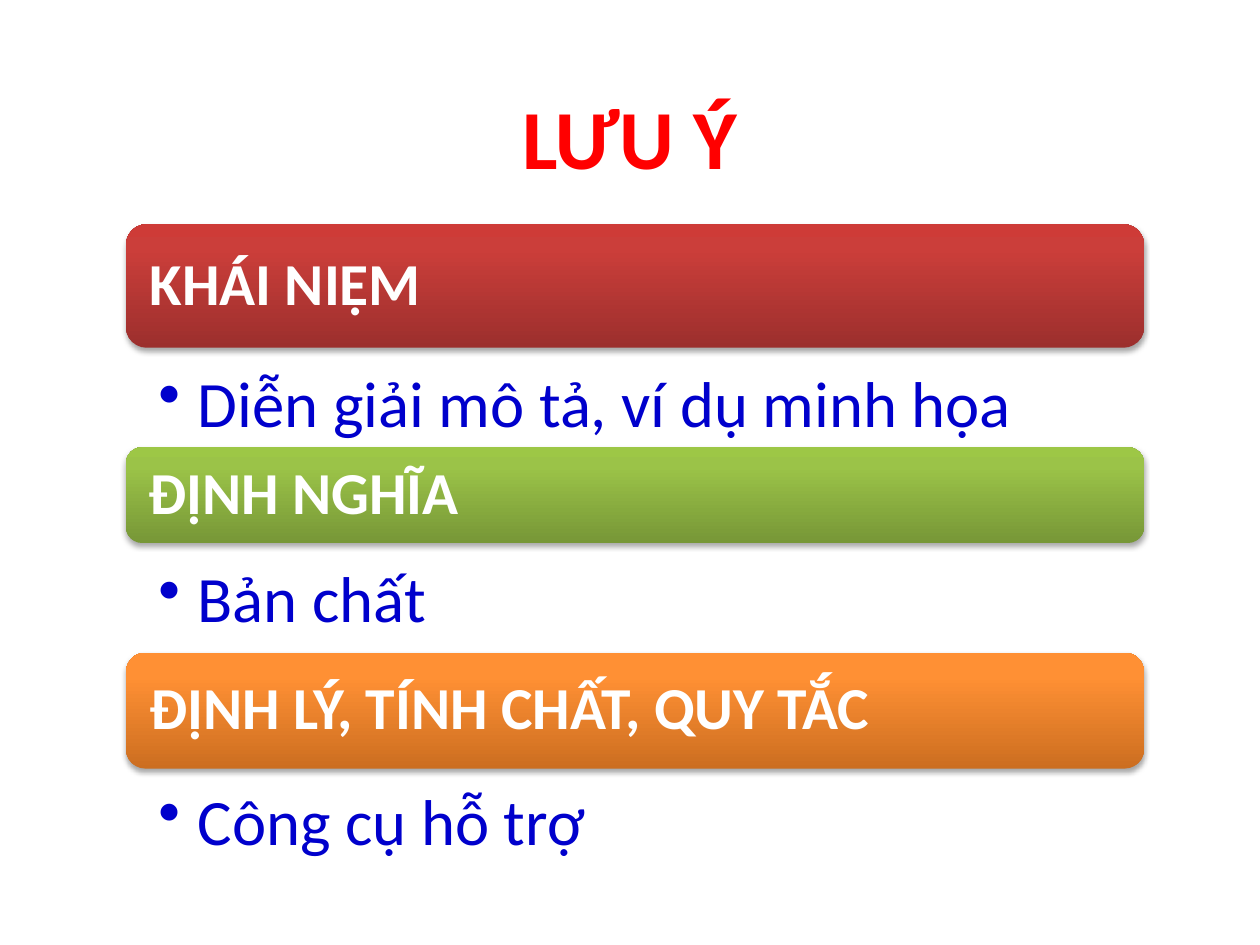
"""Build the slide of three headed notes."""
from lxml import etree
from pptx import Presentation
from pptx.dml.color import RGBColor
from pptx.enum.shapes import MSO_SHAPE
from pptx.enum.text import MSO_ANCHOR, PP_ALIGN
from pptx.oxml import parse_xml
from pptx.oxml.ns import qn
from pptx.util import Pt

ROUND = MSO_SHAPE.ROUNDED_RECTANGLE
MIDDLE, TOP = MSO_ANCHOR.MIDDLE, MSO_ANCHOR.TOP
LEFT, CENTER = PP_ALIGN.LEFT, PP_ALIGN.CENTER
RED = RGBColor(0xFF, 0x00, 0x00)
BLUE = RGBColor(0x00, 0x00, 0xCC)
WHITE = RGBColor(0xFF, 0xFF, 0xFF)
CRIMSON = (RGBColor(0x9C, 0x2F, 0x2D), RGBColor(0xCB, 0x3E, 0x3A), RGBColor(0xCE, 0x3B, 0x37))
GREEN = (RGBColor(0x77, 0x97, 0x37), RGBColor(0x9B, 0xC3, 0x48), RGBColor(0x9D, 0xC7, 0x46))
ORANGE = (RGBColor(0xCC, 0x6E, 0x20), RGBColor(0xFF, 0x90, 0x34), RGBColor(0xFF, 0x91, 0x36))
STOPS = (0, 80000, 100000)
SPACE = 'xmlns:a="http://schemas.openxmlformats.org/drawingml/2006/main"'
SHADOW = (
    f'<a:effectLst {SPACE}><a:outerShdw blurRad="{Pt(3.1)}" dist="{Pt(1.8)}" '
    'dir="5400000" rotWithShape="0"><a:srgbClr val="000000"><a:alpha val="35000"/>'
    '</a:srgbClr></a:outerShdw></a:effectLst>'
)
X, WIDTH, DEEP = 72, 581.76, 62.64
ROWS = [
    ("KHÁI NIỆM", 128.16, 70.56, CRIMSON, "Diễn giải mô tả, ví dụ minh họa", 207.36, 0.9),
    ("ĐỊNH NGHĨA", 255.6, 54.72, GREEN, "Bản chất", 318.96, 0.9),
    ("ĐỊNH LÝ, TÍNH CHẤT, QUY TẮC", 372.96, 66.24, ORANGE, "Công cụ hỗ trợ", 441.36, 1.0),
]


def write(shape, text, size, color, bold, align, anchor, pads, lead):
    frame = shape.text_frame
    frame.text = text
    frame.word_wrap = True
    frame.vertical_anchor = anchor
    frame.margin_left, frame.margin_top, frame.margin_right, frame.margin_bottom = map(Pt, pads)
    line = frame.paragraphs[0]
    line.alignment = align
    line.line_spacing = lead
    font = line.runs[0].font
    font.name, font.size, font.bold = "Calibri", Pt(size), bold
    font.color.rgb = color
    return line


def shade(shape, colors):
    shape.line.fill.background()
    stops = "".join(
        f'<a:gs pos="{pos}"><a:srgbClr val="{color}"/></a:gs>'
        for pos, color in zip(STOPS, colors)
    )
    fill = parse_xml(
        f'<a:gradFill {SPACE} rotWithShape="1"><a:gsLst>{stops}</a:gsLst>'
        '<a:lin ang="16200000" scaled="0"/></a:gradFill>'
    )
    props = shape.element.spPr
    props.find(qn("a:prstGeom")).addnext(fill)
    props.append(parse_xml(SHADOW))


deck = Presentation()
deck.slide_width, deck.slide_height = Pt(720), Pt(540)
slide = deck.slides.add_slide(deck.slide_layouts[6])
shapes = slide.shapes

title = shapes.add_textbox(Pt(30), Pt(36), Pt(660), Pt(82.8))
write(title, "LƯU Ý", 48, RED, True, CENTER, MIDDLE, (7.2, 3.6, 7.2, 3.6), 1.0)

for head, top, height, colors, note, low, lead in ROWS:
    bar = shapes.add_shape(ROUND, Pt(X), Pt(top), Pt(WIDTH), Pt(height))
    shade(bar, colors)
    write(bar, head, 34, WHITE, True, LEFT, MIDDLE, (10.2, 10.2, 10.2, 10.2), 0.9)

    box = shapes.add_textbox(Pt(X), Pt(low), Pt(WIDTH), Pt(DEEP))
    line = write(box, note, 37, BLUE, False, LEFT, TOP, (18.5, 5, 26.5, 5), lead)
    props = line._p.get_or_add_pPr()
    props.set("marL", str(Pt(22.5)))
    props.set("indent", str(Pt(-22.5)))
    etree.SubElement(props, qn("a:buChar")).set("char", "•")

deck.save("out.pptx")
